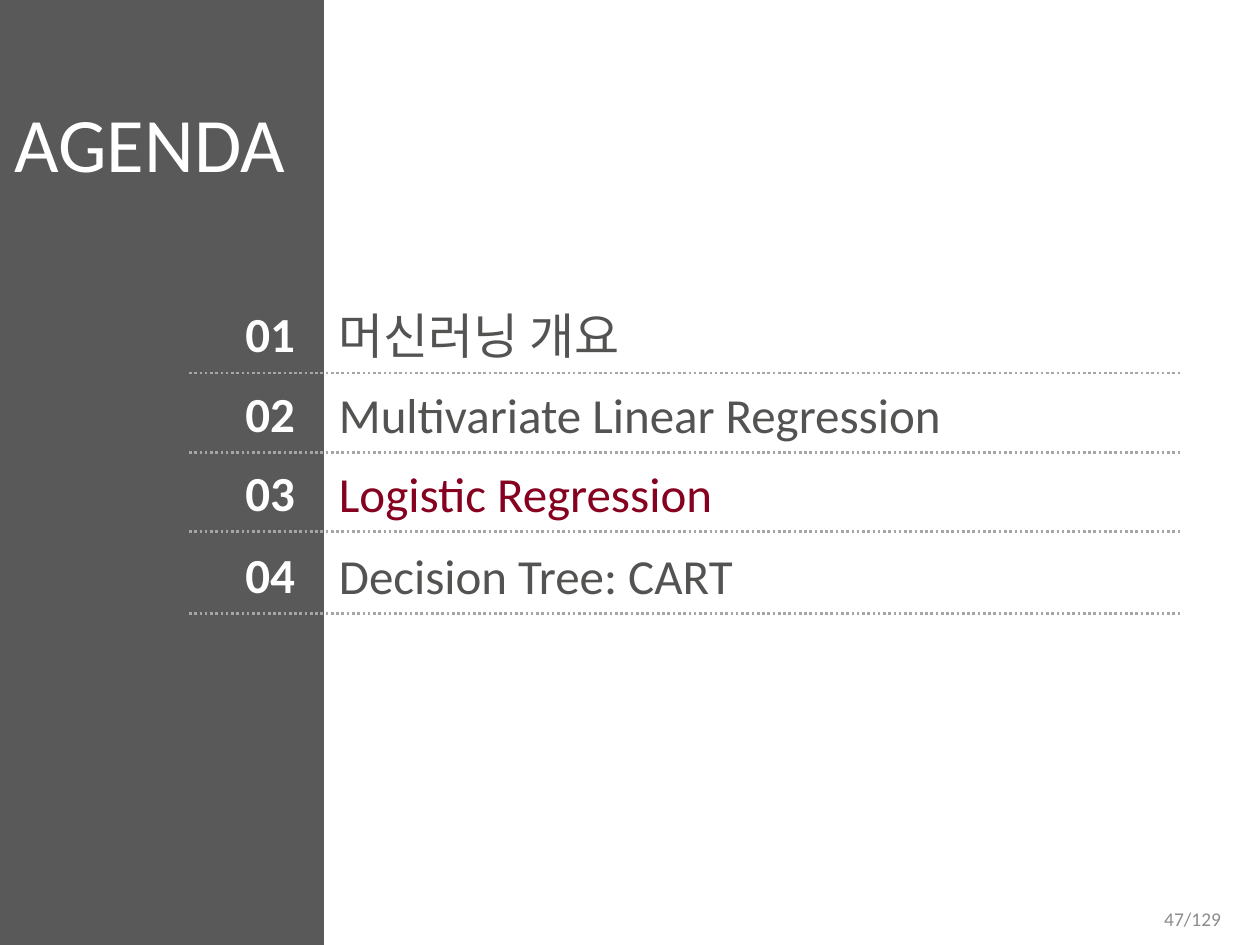
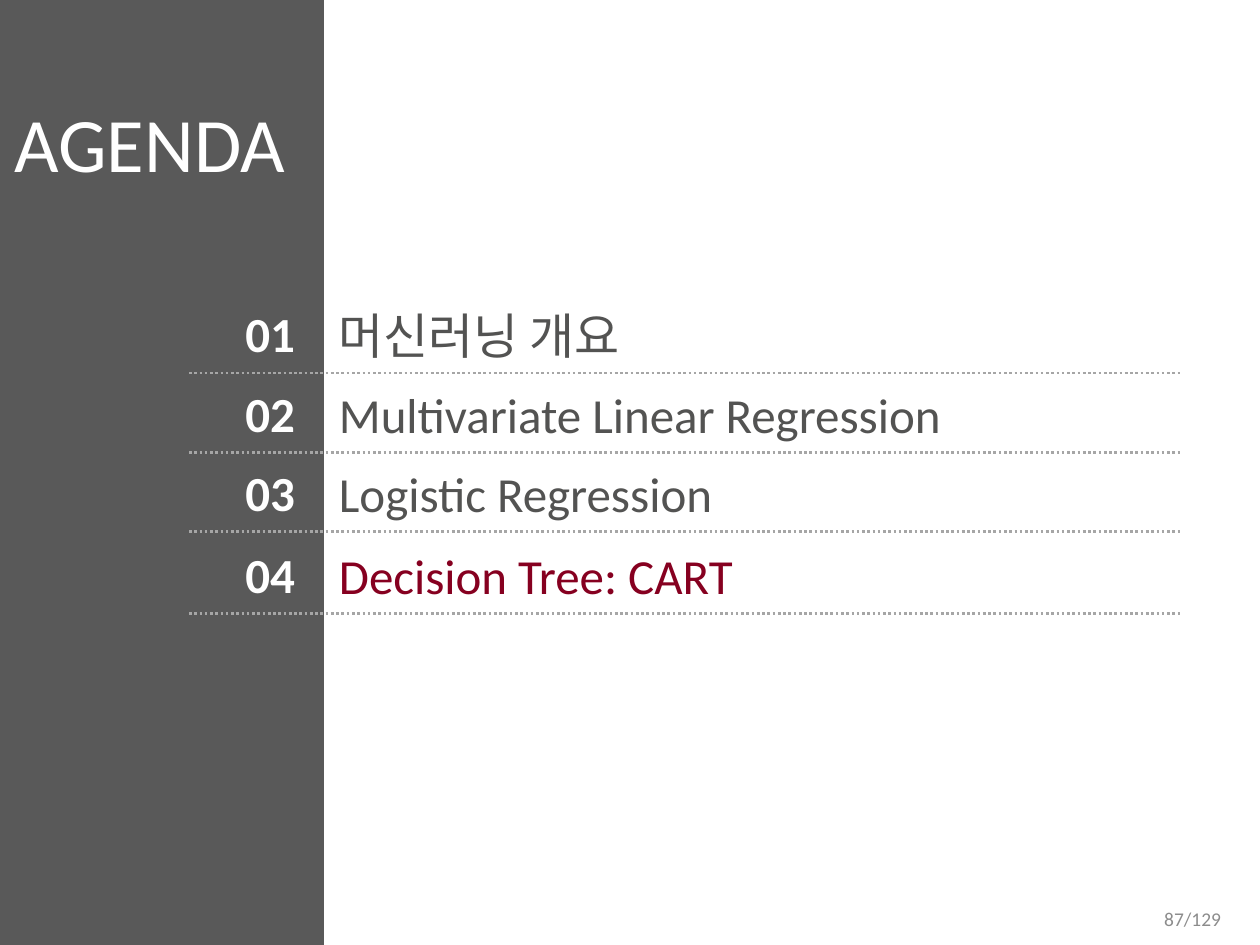
from pptx import Presentation
from pptx.dml.color import RGBColor
from pptx.enum.dml import MSO_LINE
from pptx.enum.shapes import MSO_CONNECTOR, MSO_SHAPE
from pptx.enum.text import MSO_ANCHOR, PP_ALIGN
from pptx.oxml.ns import qn
from pptx.util import Inches, Pt
from lxml.etree import SubElement

LATIN_FONT = "Calibri"
KOREAN_FONT = "Noto Sans CJK KR"
WHITE = "FFFFFF"
BAND_GRAY = "595959"
TOPIC_GRAY = "535352"
RULE_GRAY = "A6A6A6"
FOOTER_GRAY = "8C8C8C"
HIGHLIGHT = "860020"

# Topic, its font, and the height of the dotted rule below it
TOPICS = [
    ("머신러닝 개요", KOREAN_FONT, 2.96),
    ("Multivariate Linear Regression", LATIN_FONT, 3.59),
    ("Logistic Regression", LATIN_FONT, 4.22),
    ("Decision Tree: CART", LATIN_FONT, 4.87),
]
PAGE_COUNT = 129


def rgb(hex_color):
    return RGBColor.from_string(hex_color)


def add_text(slide, text, left, top, width, height, *, size, color,
             font=LATIN_FONT, bold=False, align=PP_ALIGN.LEFT,
             anchor=MSO_ANCHOR.MIDDLE, insets=(0.1, 0.05, 0.1, 0.05)):
    """Add a one-paragraph text box; insets run left, top, right, bottom."""
    box = slide.shapes.add_textbox(
        Inches(left), Inches(top), Inches(width), Inches(height))
    frame = box.text_frame
    frame.word_wrap = True
    frame.vertical_anchor = anchor
    (frame.margin_left, frame.margin_top,
     frame.margin_right, frame.margin_bottom) = map(Inches, insets)
    paragraph = frame.paragraphs[0]
    paragraph.alignment = align
    run = paragraph.add_run()
    run.text = text
    run.font.size = Pt(size)
    run.font.bold = bold
    run.font.color.rgb = rgb(color)
    run.font.name = font
    SubElement(run.font._element, qn("a:ea"), typeface=font)


def add_side_band(slide):
    band = slide.shapes.add_shape(
        MSO_SHAPE.RECTANGLE, Inches(-0.42), 0, Inches(2.99), Inches(7.5))
    band.shadow.inherit = False
    band.fill.solid()
    band.fill.fore_color.rgb = rgb(BAND_GRAY)
    band.line.fill.background()


def add_dotted_rule(slide, y):
    rule = slide.shapes.add_connector(
        MSO_CONNECTOR.STRAIGHT, Inches(1.5), Inches(y), Inches(9.38), Inches(y))
    rule.line.color.rgb = rgb(RULE_GRAY)
    rule.line.width = Pt(1.5)
    rule.line.dash_style = MSO_LINE.ROUND_DOT
    SubElement(rule._element.spPr, qn("a:effectLst"))


def add_topic(slide, number, topic, font, rule_y, color):
    add_text(slide, f"{number:02}", 1.34, rule_y - 0.6, 1.1, 0.57,
             size=28, color=WHITE, bold=True, align=PP_ALIGN.RIGHT)
    add_text(slide, topic, 2.69, rule_y - 0.5, 6.69, 0.39,
             size=28, color=color, font=font, insets=(0, 0.05, 0.1, 0.05))
    add_dotted_rule(slide, rule_y)


def add_agenda_slide(deck, current, page):
    """Add the agenda with the current topic number highlighted."""
    slide = deck.slides.add_slide(deck.slide_layouts[6])
    add_side_band(slide)
    add_text(slide, "AGENDA", -0.29, 0.76, 2.96, 0.74, size=44, color=WHITE,
             align=PP_ALIGN.CENTER, anchor=MSO_ANCHOR.TOP, insets=(0, 0, 0, 0))
    for number, (topic, font, rule_y) in enumerate(TOPICS, start=1):
        color = HIGHLIGHT if number == current else TOPIC_GRAY
        add_topic(slide, number, topic, font, rule_y, color)
    add_text(slide, f"{page}/{PAGE_COUNT}", 7.54, 7.14, 2.25, 0.3,
             size=11.1, color=FOOTER_GRAY, align=PP_ALIGN.RIGHT)


def main():
    deck = Presentation()
    deck.slide_width = Inches(10)
    deck.slide_height = Inches(7.5)
    add_agenda_slide(deck, current=3, page=47)
    add_agenda_slide(deck, current=4, page=87)
    deck.save("out.pptx")


if __name__ == "__main__":
    main()
